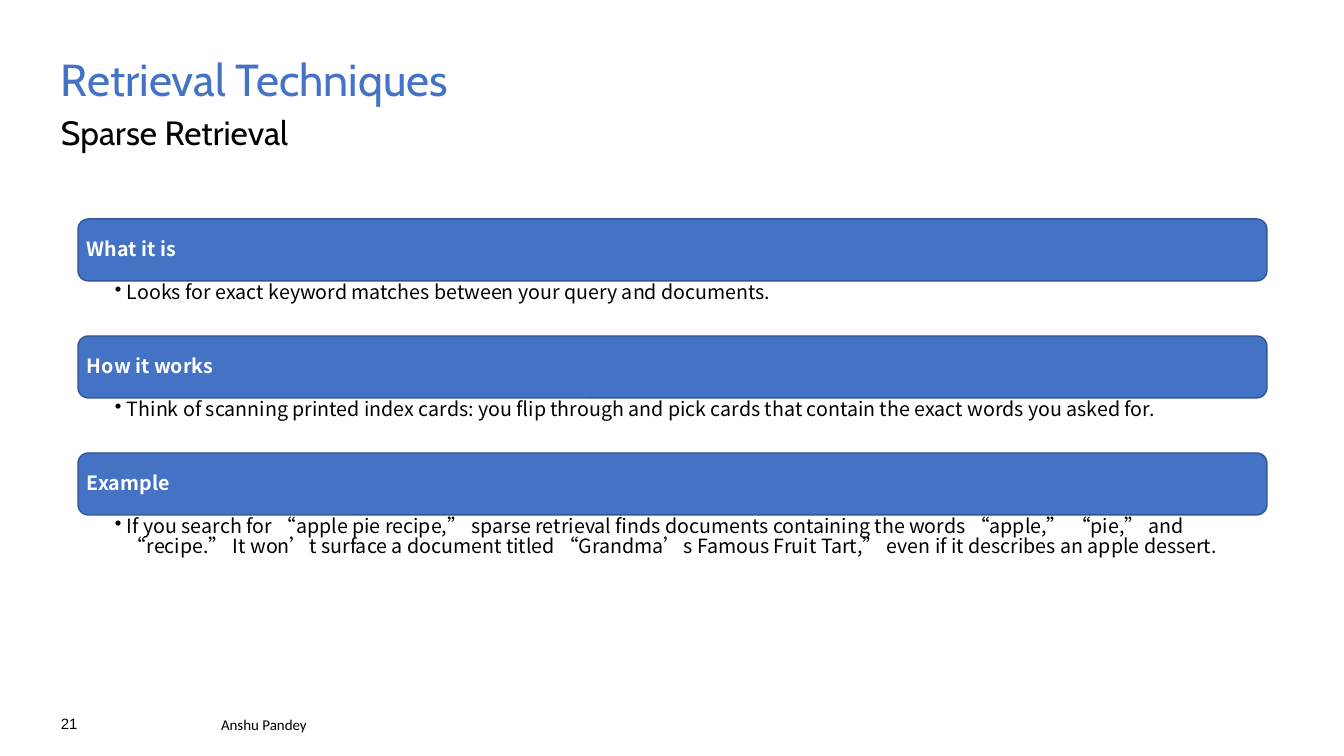
from dataclasses import dataclass

from lxml import etree
from pptx import Presentation, util as u
from pptx.dml.color import RGBColor
from pptx.enum import shapes, text
from pptx.oxml.ns import qn

TITLE = "Retrieval Techniques"
SUBTITLE = "Sparse Retrieval"
# heading, detail, height of the detail in px
SECTIONS = [
    ("What it is", "Looks for exact keyword matches between your query and documents.", 55),
    ("How it works", "Think of scanning printed index cards: you flip through and pick cards "
     "that contain the exact words you asked for.", 55),
    ("Example", "If you search for “apple pie recipe,” sparse retrieval finds documents "
     "containing the words “apple,” “pie,” and “recipe.” It won’t surface a document titled "
     "“Grandma’s Famous Fruit Tart,” even if it describes an apple dessert.", 72),
]
PAGE_NUMBER = "21"
AUTHOR = "Anshu Pandey"


@dataclass(frozen=True)
class Theme:
    blue: RGBColor = RGBColor.from_string("4472C4")
    outline: RGBColor = RGBColor.from_string("2F5597")
    black: RGBColor = RGBColor.from_string("000000")
    white: RGBColor = RGBColor.from_string("FFFFFF")
    display: str = "Cabin"
    body: str = "Noto Sans CJK TC"
    title_size: float = 32
    subtitle_size: float = 24
    body_size: float = 14
    footer_size: float = 10.7


THEME = Theme()
PX_PER_INCH = 100.8
BAR_LEFT, BAR_TOP, BAR_WIDTH, BAR_HEIGHT, PITCH = 78, 219, 1189, 62, 117
HANGING = 12


def px(length):
    return u.Emu(round(length * 914400 / PX_PER_INCH))


def place(shape, left, top, width, height):
    box = {"left": left, "top": top, "width": width, "height": height}
    for name, value in box.items():
        setattr(shape, name, px(value))


def write(shape, words, font, size, color, bold=False, anchor=text.MSO_ANCHOR.TOP,
          insets=(0, 0, 0, 0), wrap=True, spacing=1.0, bullet=None):
    """Fill a shape with one left-aligned paragraph, hanging when it has a bullet."""
    frame = shape.text_frame
    frame.text = words
    frame_format = {"word_wrap": wrap, "auto_size": text.MSO_AUTO_SIZE.NONE,
                    "vertical_anchor": anchor}
    for side, inset in zip(("left", "top", "right", "bottom"), insets):
        frame_format[f"margin_{side}"] = px(inset)
    for name, value in frame_format.items():
        setattr(frame, name, value)

    paragraph = frame.paragraphs[0]
    properties = paragraph._p.get_or_add_pPr()
    indent = px(HANGING) if bullet else 0
    properties.set("marL", str(indent))
    properties.set("indent", str(-indent))
    if bullet:
        etree.SubElement(properties, qn("a:buChar")).set("char", bullet)
    else:
        etree.SubElement(properties, qn("a:buNone"))
    paragraph_format = {"alignment": text.PP_ALIGN.LEFT, "line_spacing": spacing,
                        "space_before": u.Pt(0)}
    for name, value in paragraph_format.items():
        setattr(paragraph, name, value)
    run_font = paragraph.runs[0].font
    for name, value in {"name": font, "size": u.Pt(size), "bold": bold}.items():
        setattr(run_font, name, value)
    run_font.color.rgb = color


def add_text(slide, box, words, font, size, color, **options):
    shape = slide.shapes.add_textbox(0, 0, 0, 0)
    place(shape, *box)
    write(shape, words, font, size, color, **options)


def add_bar(slide, top, heading):
    bar = slide.shapes.add_shape(shapes.MSO_SHAPE.ROUNDED_RECTANGLE, 0, 0, 0, 0)
    place(bar, BAR_LEFT, top, BAR_WIDTH, BAR_HEIGHT)
    bar.shadow.inherit = False
    bar.fill.solid()
    bar.fill.fore_color.rgb = THEME.blue
    bar.line.color.rgb = THEME.outline
    bar.line.width = u.Pt(1)
    write(bar, heading, THEME.body, THEME.body_size, THEME.white, bold=True,
          anchor=text.MSO_ANCHOR.MIDDLE, insets=(6, 6, 6, 6), spacing=0.9)


def main():
    presentation = Presentation()
    presentation.slide_width, presentation.slide_height = px(1344), px(756)
    slide = presentation.slides.add_slide(presentation.slide_layouts[1])

    title, subtitle = slide.placeholders
    place(title, 61, 58, 1222, 50)
    write(title, TITLE, THEME.display, THEME.title_size, THEME.blue, spacing=0.9)
    place(subtitle, 61, 112, 1222, 50)
    write(subtitle, SUBTITLE, THEME.display, THEME.subtitle_size, THEME.black)

    for row, (heading, detail, height) in enumerate(SECTIONS):
        top = BAR_TOP + row * PITCH
        add_bar(slide, top, heading)
        add_text(slide, (BAR_LEFT, top + BAR_HEIGHT, BAR_WIDTH, height), detail,
                 THEME.body, THEME.body_size, THEME.black,
                 insets=(37, 2, 11, 2), spacing=0.86, bullet="•")

    footers = [((61, 714, 18, 18), PAGE_NUMBER, "Arial", False),
               ((221, 715, 233, 18), AUTHOR, "Calibri", True)]
    for box, words, font, wrap in footers:
        add_text(slide, box, words, font, THEME.footer_size, THEME.black,
                 anchor=text.MSO_ANCHOR.BOTTOM, wrap=wrap)

    presentation.save("out.pptx")


if __name__ == "__main__":
    main()
